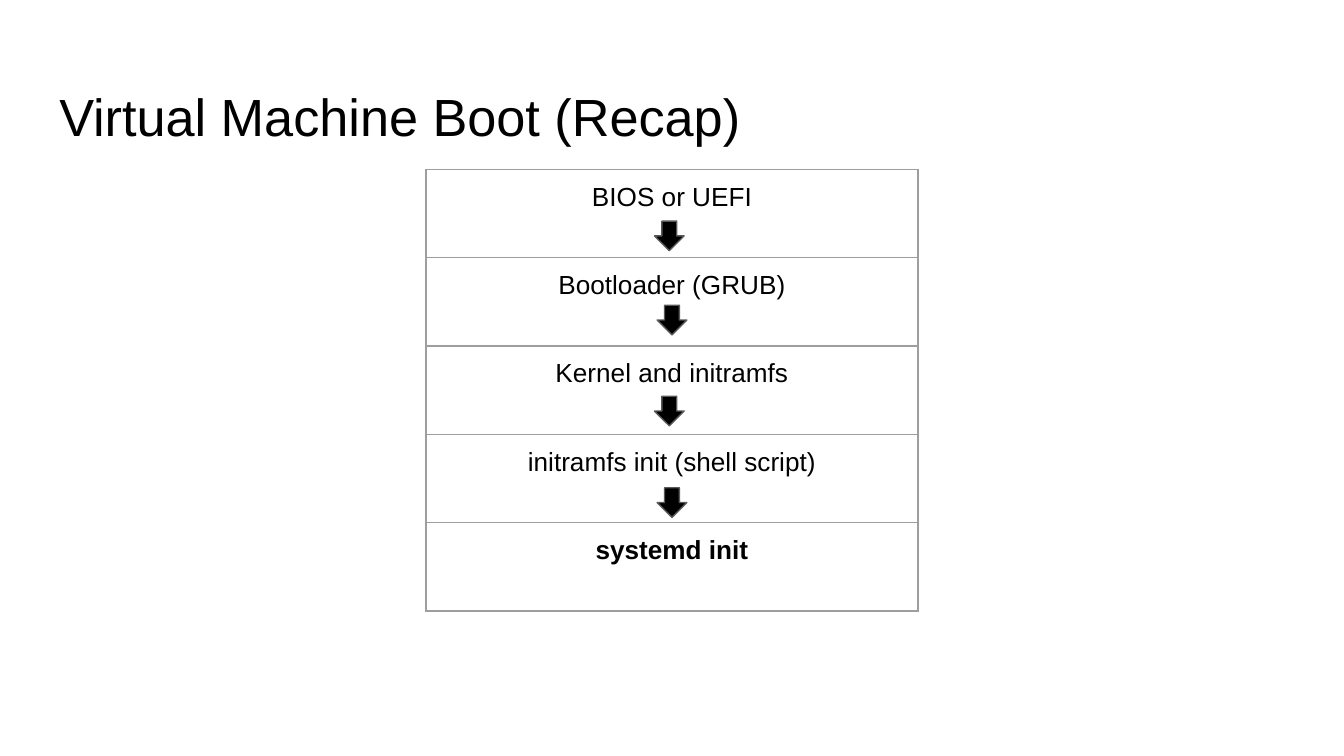
from dataclasses import dataclass

from lxml import etree
from pptx import Presentation
from pptx.dml.color import RGBColor
from pptx.enum.shapes import MSO_SHAPE
from pptx.enum.text import MSO_ANCHOR, MSO_AUTO_SIZE, PP_ALIGN
from pptx.oxml.ns import qn
from pptx.util import Cm, Pt

DOWN_ARROW = MSO_SHAPE.DOWN_ARROW
TOP = MSO_ANCHOR.TOP
LEFT, CENTER = PP_ALIGN.LEFT, PP_ALIGN.CENTER
NO_AUTOFIT = MSO_AUTO_SIZE.NONE
TITLE_ONLY = 5


@dataclass(frozen=True)
class Theme:
    """Colours, font and sizes of the slide."""
    font: str = "Arial"
    ink: RGBColor = RGBColor(0x00, 0x00, 0x00)
    arrow_outline: RGBColor = RGBColor(0x59, 0x59, 0x59)
    grid: str = "9E9E9E"
    title_size: Pt = Pt(28)
    stage_size: Pt = Pt(14)
    rule: Pt = Pt(0.75)
    padding: Cm = Cm(0.25)


THEME = Theme()
STAGES = [
    "BIOS or UEFI",
    "Bootloader (GRUB)",
    "Kernel and initramfs",
    "initramfs init (shell script)",
    "systemd init",
]
ARROW_POSITIONS = [(12.37, 4.18), (12.42, 5.77), (12.37, 7.49), (12.42, 9.22)]


def style_paragraph(paragraph, size, alignment, bold=False):
    """Set the alignment and font of a paragraph."""
    paragraph.alignment = alignment
    font = paragraph.font
    font.name, font.size, font.bold = THEME.font, size, bold
    font.color.rgb = THEME.ink


def set_title(slide, text):
    """Place and format the title placeholder."""
    title = slide.shapes.title
    title.left, title.top = Cm(0.87), Cm(1.24)
    title.width, title.height = Cm(23.67), Cm(1.6)
    frame = title.text_frame
    frame.text = text
    frame.auto_size = NO_AUTOFIT
    frame.vertical_anchor = TOP
    frame.margin_left = frame.margin_right = frame.margin_bottom = THEME.padding
    frame.margin_top = Cm(0.35)
    style_paragraph(frame.paragraphs[0], THEME.title_size, LEFT)


def add_borders(cell):
    """Draw a thin line on each side of a cell."""
    properties = cell._tc.get_or_add_tcPr()
    for index, side in enumerate(("lnL", "lnR", "lnT", "lnB")):
        border = etree.Element(qn(f"a:{side}"), w=str(THEME.rule))
        fill = etree.SubElement(border, qn("a:solidFill"))
        etree.SubElement(fill, qn("a:srgbClr"), val=THEME.grid)
        properties.insert(index, border)


def add_stage_table(slide, stages):
    """Add a single-column table with one boot stage per row, the last in bold."""
    width, row_height = Cm(9.3), Cm(1.67)
    table = slide.shapes.add_table(
        len(stages), 1, Cm(8.05), Cm(3.2), width, row_height * len(stages)
    ).table
    table.first_row = table.horz_banding = False
    for row, stage in enumerate(stages):
        cell = table.cell(row, 0)
        cell.text = stage
        cell.fill.background()
        cell.vertical_anchor = TOP
        cell.margin_left = cell.margin_right = THEME.padding
        cell.margin_top = cell.margin_bottom = THEME.padding
        paragraph = cell.text_frame.paragraphs[0]
        style_paragraph(paragraph, THEME.stage_size, CENTER, stage == stages[-1])
        add_borders(cell)


def add_down_arrow(slide, left, top):
    """Add an arrow that leads to the next stage."""
    side = Cm(0.56)
    arrow = slide.shapes.add_shape(DOWN_ARROW, Cm(left), Cm(top), side, side)
    arrow.shadow.inherit = False
    arrow.fill.solid()
    arrow.fill.fore_color.rgb = THEME.ink
    arrow.line.color.rgb = THEME.arrow_outline
    arrow.line.width = THEME.rule


def main():
    """Build the boot sequence slide."""
    presentation = Presentation()
    presentation.slide_width, presentation.slide_height = Cm(25.4), Cm(14.29)
    slide = presentation.slides.add_slide(presentation.slide_layouts[TITLE_ONLY])
    set_title(slide, "Virtual Machine Boot (Recap)")
    add_stage_table(slide, STAGES)
    for left, top in ARROW_POSITIONS:
        add_down_arrow(slide, left, top)
    presentation.save("out.pptx")


if __name__ == "__main__":
    main()
